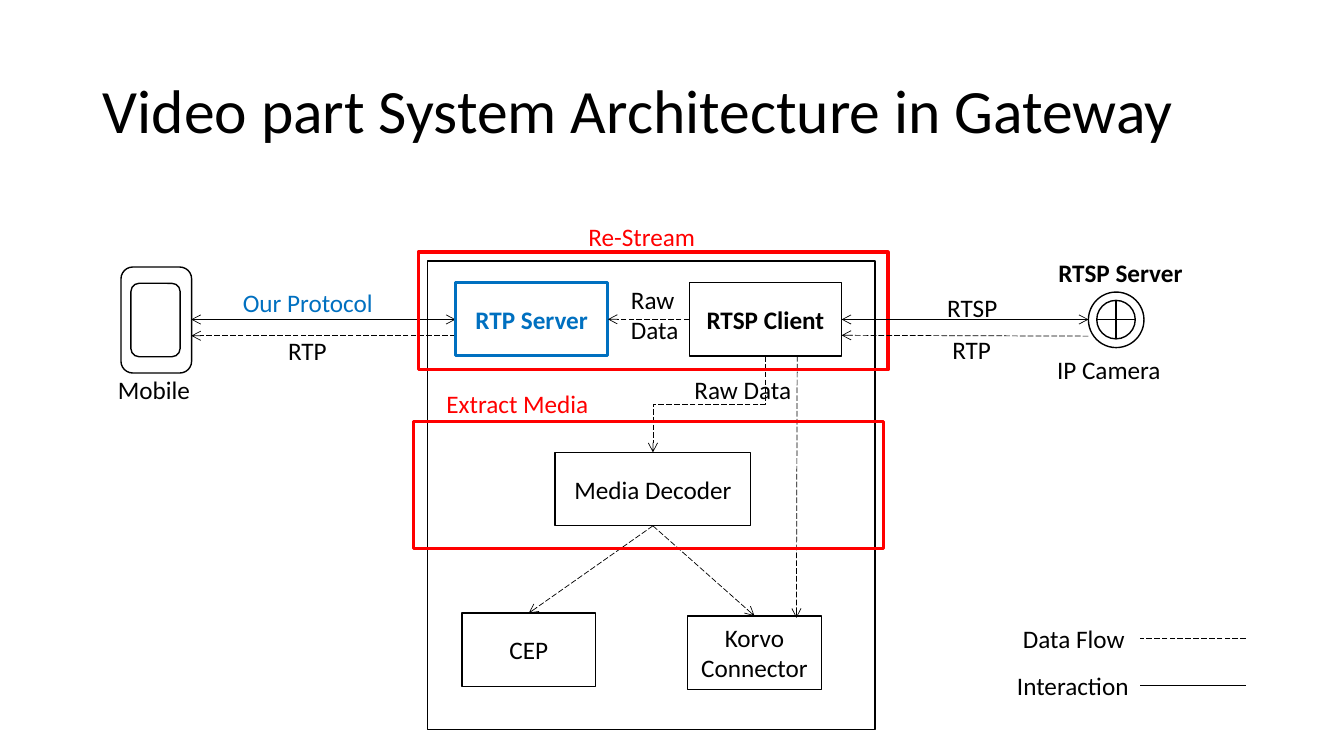
from lxml.etree import SubElement
from pptx import Presentation
from pptx.dml.color import RGBColor
from pptx.enum.dml import MSO_LINE
from pptx.enum.shapes import MSO_CONNECTOR, MSO_SHAPE
from pptx.enum.text import MSO_ANCHOR, PP_ALIGN
from pptx.oxml.ns import qn
from pptx.util import Cm, Pt

COLORS = {"black": "000000", "blue": "0070C0", "red": "FF0000"}
FONT = "Calibri"
BOX_H = 1.85   # height of a component box, cm
LABEL_H = 1.02


def rgb(color):
    return RGBColor.from_string(COLORS[color])


def write(tf, text, color="black", bold=None, size=18):
    tf.word_wrap = True
    p = tf.paragraphs[0]
    p.text = text
    p.font.name, p.font.size, p.font.bold = FONT, Pt(size), bold
    p.font.color.rgb = rgb(color)
    return p


def label(s, x, y, w, text, color="black", bold=None, h=LABEL_H):
    tf = s.shapes.add_textbox(Cm(x), Cm(y), Cm(w), Cm(h)).text_frame
    write(tf, text, color, bold)


def outline(s, x, y, w, h, color="black", weight=1.0, kind=MSO_SHAPE.RECTANGLE):
    sp = s.shapes.add_shape(kind, Cm(x), Cm(y), Cm(w), Cm(h))
    sp.shadow.inherit = False
    sp.fill.background()
    sp.line.color.rgb = rgb(color)
    sp.line.width = Pt(weight)
    return sp


def component(s, x, y, w, text, color="black", weight=1.0, bold=None):
    tf = outline(s, x, y, w, BOX_H, color, weight).text_frame
    tf.vertical_anchor = MSO_ANCHOR.MIDDLE
    write(tf, text, color, bold).alignment = PP_ALIGN.CENTER


def link(s, x1, y1, x2, y2, dashed=True, start=False, end=True,
         kind=MSO_CONNECTOR.STRAIGHT):
    c = s.shapes.add_connector(kind, Cm(x1), Cm(y1), Cm(x2), Cm(y2))
    c.line.color.rgb = rgb("black")
    c.line.width = Pt(0.5)
    if dashed:
        c.line.dash_style = MSO_LINE.LONG_DASH
    ln = c.line._get_or_add_ln()
    for tag, wanted in (("a:headEnd", start), ("a:tailEnd", end)):
        if wanted:
            SubElement(ln, qn(tag), type="arrow")
    SubElement(c._element.spPr, qn("a:effectLst"))
    return c


def drop_link(s, x1, y1, x2, y2):
    """Elbow that leaves downwards, runs left and enters from above."""
    cx, cy = (x1 + x2) / 2, (y1 + y2) / 2
    half_w, half_h = (y2 - y1) / 2, (x1 - x2) / 2
    c = link(s, cx - half_w, cy - half_h, cx + half_w, cy + half_h,
             kind=MSO_CONNECTOR.ELBOW)
    c._element.spPr.find(qn("a:xfrm")).set("rot", str(90 * 60000))


def add_title(s, x, y, w, h):
    tf = s.shapes.add_textbox(Cm(x), Cm(y), Cm(w), Cm(h)).text_frame
    tf.vertical_anchor = MSO_ANCHOR.MIDDLE
    p = write(tf, "Video part System Architecture in Gateway", size=44)
    p.line_spacing = 0.9


def add_mobile(s, x, y, w):
    # Phone
    for dx, dy, pw, ph in ((0.33, 0, 1.78, 2.67), (0.58, 0.41, 1.24, 1.85)):
        outline(s, x + dx, y + dy, pw, ph, kind=MSO_SHAPE.ROUNDED_RECTANGLE)
    label(s, x, y + 2.59, 2.57, "Mobile")
    # Links to the gateway
    link(s, x + w, y + 1.32, x + 2.1, y + 1.32, dashed=False, start=True)
    link(s, x + w, y + 1.73, x + 2.1, y + 1.73)
    label(s, x + 3.15, y + 0.38, 4.34, "Our Protocol", "blue")
    label(s, x + 4.29, y + 1.6, 1.6, "RTP")


def add_gateway(s, x, y, w, h):
    outline(s, x, y, w, h)
    # Components
    server_x, client_x, top_y, top_w = x + 0.71, x + 6.6, y + 0.54, 3.84
    decoder_x, decoder_y, decoder_w = x + 3.22, y + 4.82, 4.93
    cep_x, cep_y = x + 0.87, y + 8.87
    store_x, store_y, sink_w = x + 6.56, y + 8.94, 3.37
    component(s, server_x, top_y, top_w, "RTP Server", "blue", 2.25, True)
    component(s, client_x, top_y, top_w, "RTSP Client", bold=True)
    component(s, decoder_x, decoder_y, decoder_w, "Media Decoder")
    component(s, cep_x, cep_y, sink_w, "CEP")
    component(s, store_x, store_y, sink_w, "Korvo Connector")
    # Data flow
    mid_y, client_bottom = top_y + BOX_H / 2, top_y + BOX_H
    decoder_mid = decoder_x + decoder_w / 2
    link(s, client_x, mid_y, server_x + top_w, mid_y)
    drop_link(s, x + 8.51, client_bottom, decoder_mid, decoder_y)
    link(s, x + 9.32, client_bottom, x + 9.3, y + 8.99)
    for sink_x, sink_y in ((cep_x, cep_y), (store_x, store_y)):
        link(s, decoder_mid, decoder_y + BOX_H, sink_x + sink_w / 2, sink_y)
    label(s, x + 4.88, y + 0.46, 2.13, "Raw Data", h=1.8)
    label(s, x + 6.48, y + 2.72, 3.56, "Raw Data")
    # Highlighted stages
    outline(s, x - 0.23, y - 0.23, w + 0.56, 2.97, "red", 2.25)
    outline(s, x - 0.35, y + 4.04, w + 0.56, 3.2, "red", 2.25)
    label(s, x + 3.81, y - 1.14, 3.76, "Re-Stream", "red")
    label(s, x + 0.23, y + 3.08, 4.65, "Extract Media", "red")


def add_camera(s, x, y, w):
    # Camera
    label(s, x + 5.21, y, 4.8, "RTSP Server", bold=True)
    outline(s, x + w, y + 0.99, 1.4, 1.4, kind=MSO_SHAPE.OVAL)
    outline(s, x + w + 0.21, y + 1.2, 0.97, 0.97, kind=MSO_SHAPE.FLOWCHART_OR)
    label(s, x + 5.18, y + 2.44, 3.23, "IP Camera")
    # Links to the gateway
    link(s, x + w, y + 1.68, x, y + 1.68, dashed=False, start=True)
    link(s, x + w, y + 2.1, x, y + 2.08)
    label(s, x + 2.41, y + 0.86, 2.16, "RTSP")
    label(s, x + 2.54, y + 1.93, 1.6, "RTP")


def add_legend(s, x, y, w, step):
    rows = (("Data Flow", 0.15, True), ("Interaction", 0, False))
    for i, (text, indent, dashed) in enumerate(rows):
        row_y = y + i * step
        label(s, x + indent, row_y, 3.5, text)
        link(s, x + w, row_y + 0.51, x + 3.35, row_y + 0.51, dashed, end=False)


prs = Presentation()
prs.slide_width, prs.slide_height = Cm(33.87), Cm(19.05)
s = prs.slides.add_slide(prs.slide_layouts[6])
add_title(s, 2.34, 1.02, 29.21, 3.68)
add_mobile(s, 2.72, 6.73, 8.76)
add_gateway(s, 10.77, 6.58, 11.28, 11.81)
add_camera(s, 21.21, 6.37, 6.22)
add_legend(s, 25.38, 15.57, 6.02, 1.19)
prs.save("out.pptx")
